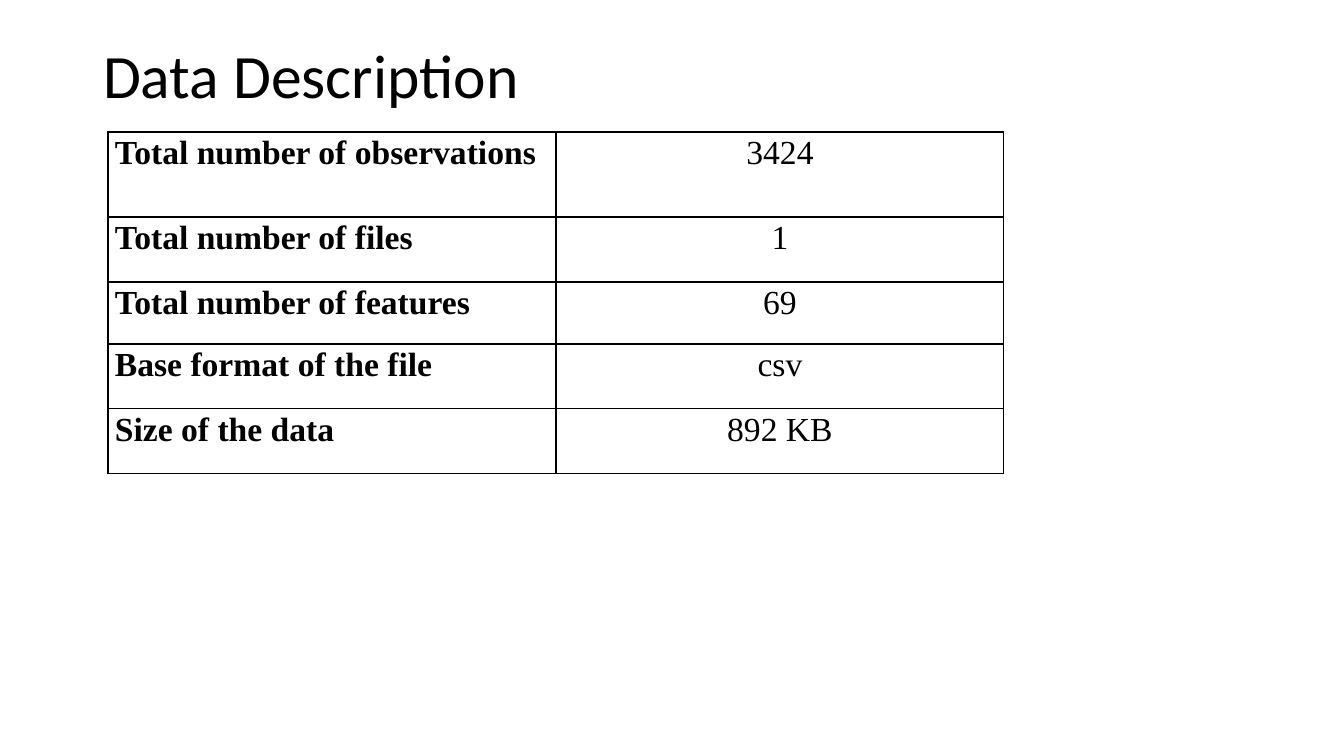
import lxml.etree
import pptx
import pptx.dml.color
import pptx.enum.text
import pptx.oxml.ns
import pptx.util

PX = 914400 / 100.8
THEME = {
    "ink": pptx.dml.color.RGBColor(0, 0, 0),
    "paper": pptx.dml.color.RGBColor(255, 255, 255),
    "title_font": "Calibri",
    "table_font": "Times New Roman",
    "title_size": 44,
    "table_size": 24,
    "border_width": 1,
}
LEFT = pptx.enum.text.PP_ALIGN.LEFT
CENTER = pptx.enum.text.PP_ALIGN.CENTER


def px(length):
    return pptx.util.Emu(round(length * PX))


def write_text(frame, text, font, size, bold=False, align=LEFT, spacing=1.0):
    paragraph = frame.paragraphs[0]
    paragraph.alignment = align
    paragraph.line_spacing = spacing
    run = paragraph.add_run()
    run.text = text
    run.font.name = font
    run.font.size = pptx.util.Pt(size)
    run.font.bold = bold
    run.font.color.rgb = THEME["ink"]


presentation = pptx.Presentation()
presentation.slide_width = px(1344)
presentation.slide_height = px(756)
slide = presentation.slides.add_slide(presentation.slide_layouts[5])

title = slide.shapes.title
title.left, title.top, title.width, title.height = px(93), px(40), px(1159), px(146)
title.text_frame.vertical_anchor = pptx.enum.text.MSO_ANCHOR.TOP
title.text_frame.auto_size = pptx.enum.text.MSO_AUTO_SIZE.NONE
write_text(title.text_frame, "Data Description", font=THEME["title_font"],
           size=THEME["title_size"], spacing=0.9)

facts = [
    ("Total number of observations", "3424", 85),
    ("Total number of files", "1", 65),
    ("Total number of features", "69", 62),
    ("Base format of the file", "csv", 65),
    ("Size of the data", "892 KB", 65),
]
column_width = 448
table_height = sum(height for label, value, height in facts)
table = slide.shapes.add_table(len(facts), 2, px(108), px(132),
                               px(2 * column_width), px(table_height)).table
table.first_row = False
table.horz_banding = False
for column in table.columns:
    column.width = px(column_width)

for row_index, (label, value, height) in enumerate(facts):
    table.rows[row_index].height = px(height)
    for column_index, text in enumerate((label, value)):
        is_label = column_index == 0
        cell = table.cell(row_index, column_index)
        cell.margin_left = cell.margin_right = px(7)
        cell.margin_top = cell.margin_bottom = 0
        write_text(cell.text_frame, text, font=THEME["table_font"],
                   size=THEME["table_size"], bold=is_label,
                   align=LEFT if is_label else CENTER, spacing=1.07)
        properties = cell._tc.get_or_add_tcPr()
        for side in ("a:lnL", "a:lnR", "a:lnT", "a:lnB"):
            border = lxml.etree.SubElement(properties, pptx.oxml.ns.qn(side))
            border.set("w", str(pptx.util.Pt(THEME["border_width"])))
            fill = lxml.etree.SubElement(border, pptx.oxml.ns.qn("a:solidFill"))
            color = lxml.etree.SubElement(fill, pptx.oxml.ns.qn("a:srgbClr"))
            color.set("val", str(THEME["ink"]))
        cell.fill.solid()
        cell.fill.fore_color.rgb = THEME["paper"]

presentation.save("out.pptx")
